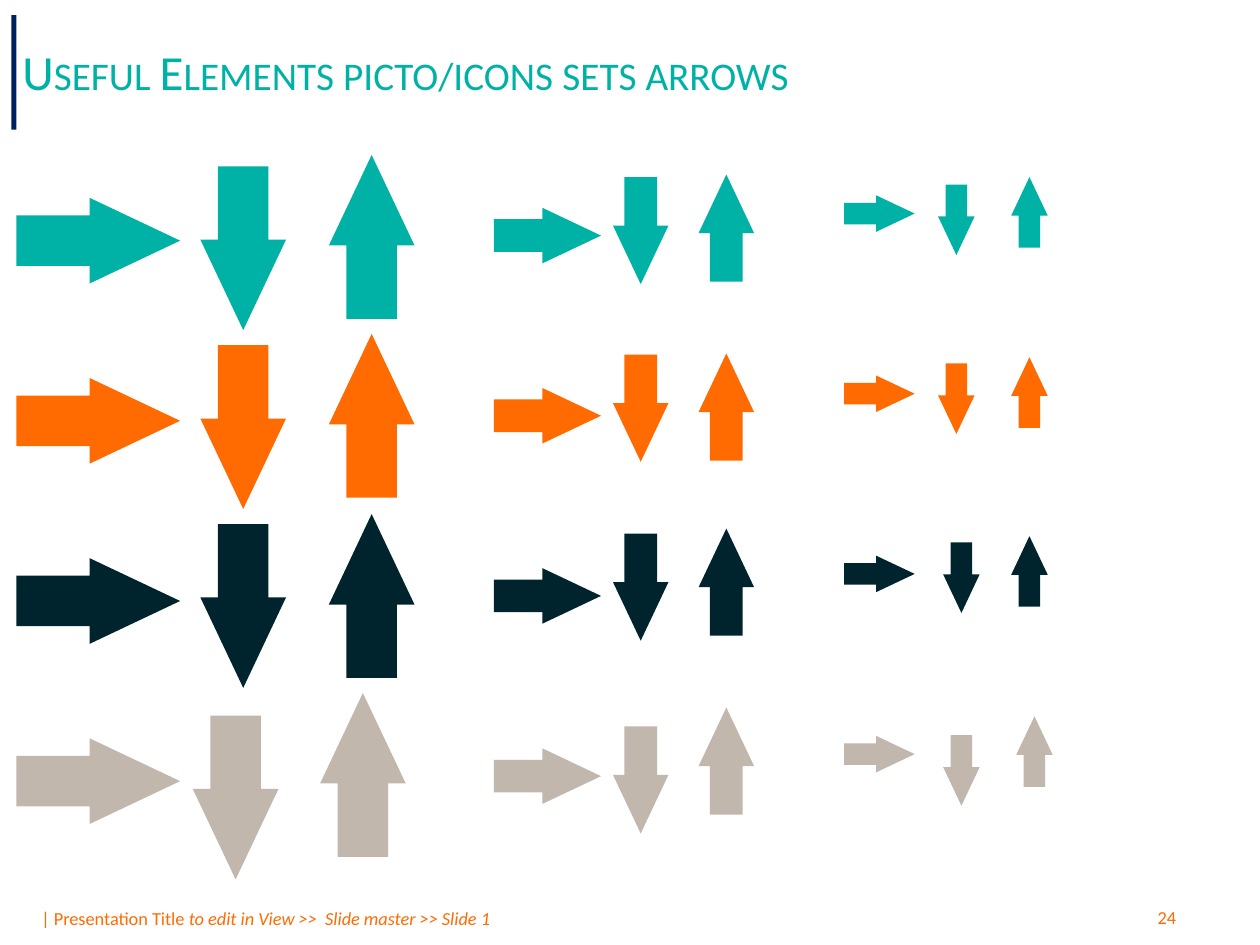
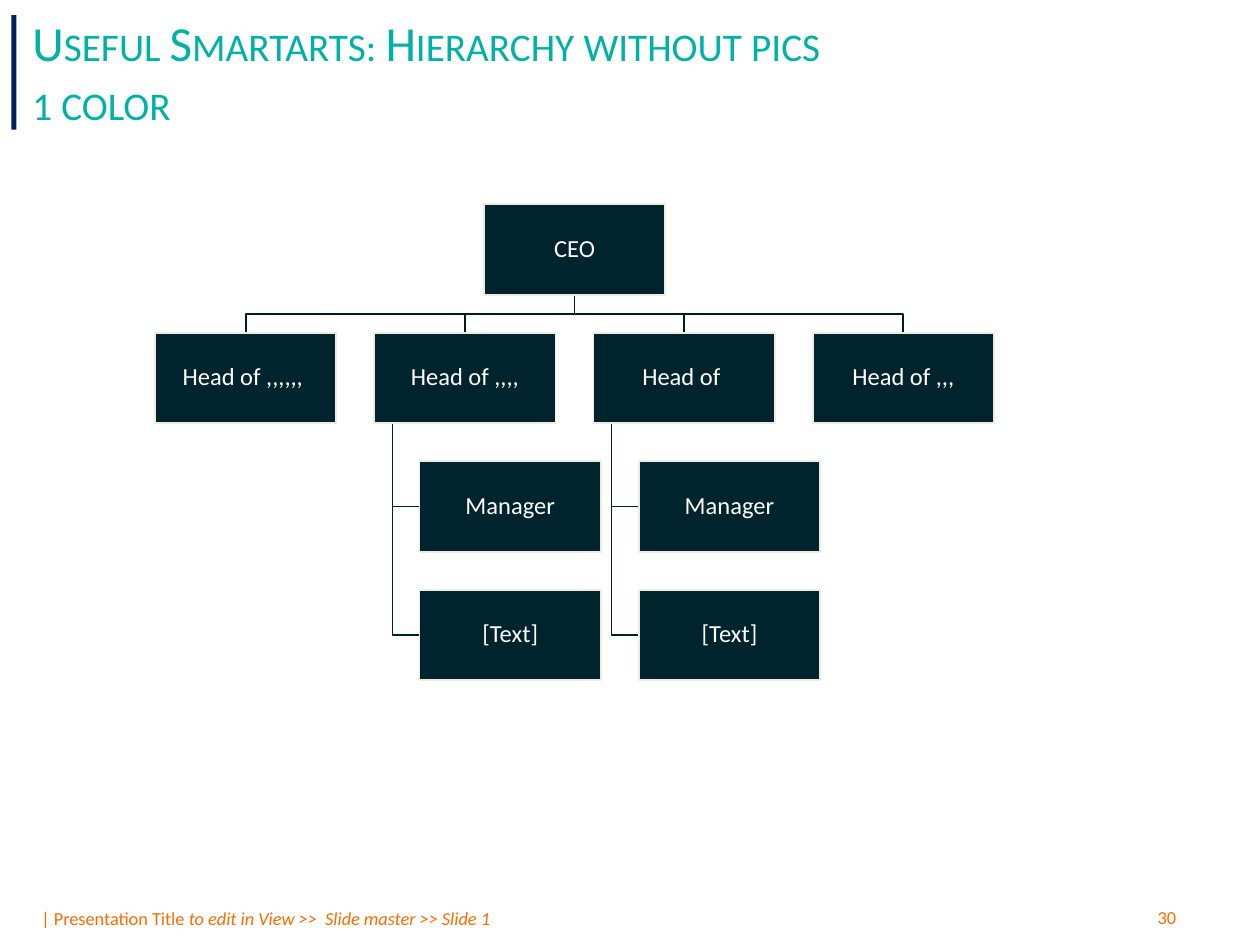
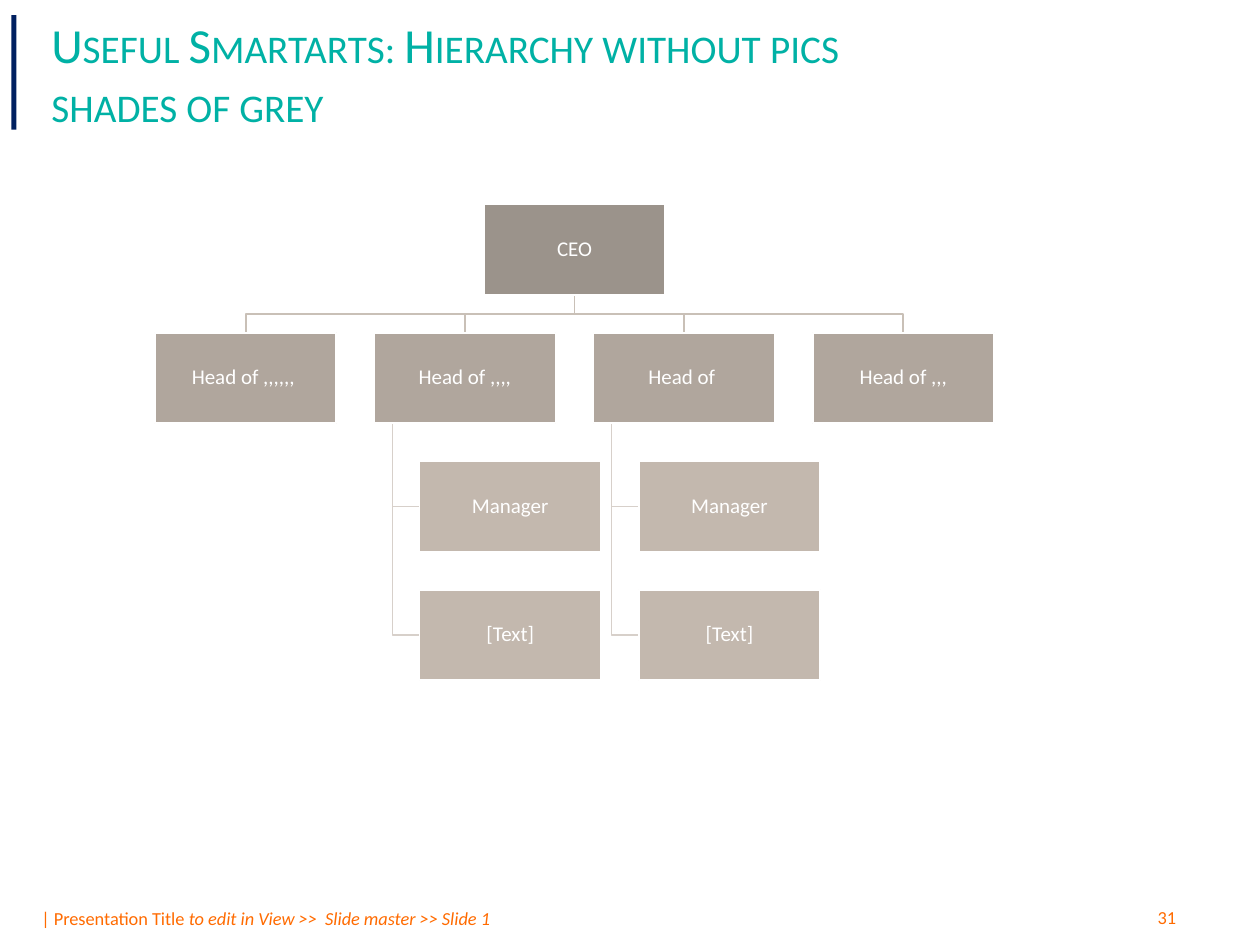
from dataclasses import dataclass

from pptx import Presentation
from pptx.dml.color import RGBColor
from pptx.enum.shapes import MSO_SHAPE
from pptx.enum.text import MSO_ANCHOR, PP_ALIGN
from pptx.util import Inches, Pt

RECTANGLE = MSO_SHAPE.RECTANGLE
RIGHT_ARROW = MSO_SHAPE.RIGHT_ARROW
MIDDLE = MSO_ANCHOR.MIDDLE
CENTER = PP_ALIGN.CENTER

COLORS = {
    "teal": "00B1A5",
    "orange": "FF6B00",
    "ink": "00242E",
    "sand": "C2B7AD",
    "navy": "002060",
    "white": "FFFFFF",
    "cream": "EEECE1",
    "ink_trunk": "001D25",
    "ink_branch": "00212A",
    "grey_ceo": "9B938B",
    "grey_head": "B0A69D",
    "grey_staff": "C3B8AE",
    "grey_trunk": "C9C0B7",
    "grey_branch": "D7D0CA",
}
TITLE_FONT = {"name": "Calibri", "size": Pt(28)}
FOOTER_FONT = {"name": "Calibri", "size": Pt(10.5)}
BOX_FRAME = {
    "word_wrap": True,
    "vertical_anchor": MIDDLE,
    "margin_left": Inches(0.01),
    "margin_right": Inches(0.01),
    "margin_top": Inches(0.01),
    "margin_bottom": Inches(0.01),
}
BOX_PARAGRAPH = {"alignment": CENTER, "line_spacing": 0.9}

ARROW_COLORS = ("teal", "orange", "ink", "sand")
ARROW_ADJUSTMENTS = (0.589, 1.056)
ARROW_PITCH = 1.43

BOX_WIDTH, BOX_HEIGHT = 1.44, 0.72
COLUMN_PITCH, ROW_PITCH = 1.74, 1.02
HEADS_LEFT, CHART_TOP = 1.23, 1.62
STAFF_INDENT = 0.36
HEADS = ("Head of ,,,,,, ", "Head of ,,,,", "Head of ", "Head of ,,,")
STAFF = ("Manager", "[Text]")
STAFFED_HEADS = (1, 2)


@dataclass(frozen=True)
class Page:
    title: str
    left: float
    top: float
    width: float
    number: int


@dataclass(frozen=True)
class ArrowColumn:
    width: float
    height: float
    rotation: int
    lefts: tuple
    tops: tuple


@dataclass(frozen=True)
class Palette:
    ceo: str
    head: str
    staff: str
    border: str
    trunk: str
    branch: str
    size: int


def evenly(first: float) -> tuple:
    return tuple(first + ARROW_PITCH * row for row in range(len(ARROW_COLORS)))


LARGE, MEDIUM, SMALL = (1.3, 0.68), (0.85, 0.44), (0.56, 0.29)
ARROW_COLUMNS = (
    ArrowColumn(*LARGE, 0, (0.13,) * 4, evenly(1.57)),
    ArrowColumn(*LARGE, 90, (1.28, 1.28, 1.28, 1.22), (1.63, 3.05, 4.47, 5.99)),
    ArrowColumn(*LARGE, 270, (2.3, 2.3, 2.3, 2.23), (1.54, 2.96, 4.39, 5.81)),
    ArrowColumn(*SMALL, 0, (6.7,) * 4, evenly(1.55)),
    ArrowColumn(*SMALL, 90, (7.31, 7.31, 7.35, 7.35), (1.6, 3.02, 4.44, 5.97)),
    ArrowColumn(*SMALL, 270, (7.89, 7.89, 7.89, 7.93), (1.54, 2.97, 4.39, 5.82)),
    ArrowColumn(*MEDIUM, 0, (3.92,) * 4, evenly(1.65)),
    ArrowColumn(*MEDIUM, 90, (4.66,) * 4, (1.61, 3.02, 4.44, 5.97)),
    ArrowColumn(*MEDIUM, 270, (5.34,) * 4, (1.59, 3.01, 4.4, 5.82)),
)

ARROWS_PAGE = Page("Useful Elements picto/icons sets arrows", 0.08, 0.23, 8.5, 24)
HIERARCHIES = (
    (
        Page("Useful Smartarts: Hierarchy without pics 1 color", 0.16, 0.24, 6.6, 30),
        Palette("ink", "ink", "ink", "cream", "ink_trunk", "ink_branch", 14),
    ),
    (
        Page("Useful Smartarts: Hierarchy without pics\nshades of grey", 0.31, 0.25, 7.67, 31),
        Palette("grey_ceo", "grey_head", "grey_staff", "white", "grey_trunk", "grey_branch", 12),
    ),
)


def rgb(color: str) -> RGBColor:
    return RGBColor.from_string(COLORS[color])


def apply(target, formats: dict) -> None:
    for attribute, value in formats.items():
        setattr(target, attribute, value)


def style_run(run, formats: dict, color: str) -> None:
    apply(run.font, formats)
    run.font.color.rgb = rgb(color)


def add_frame(slide, left: float, top: float, width: float, height: float):
    frame = slide.shapes.add_textbox(
        Inches(left), Inches(top), Inches(width), Inches(height)
    ).text_frame
    frame.word_wrap = True
    return frame


def add_filled(slide, preset, left: float, top: float, width: float, height: float, color: str):
    shape = slide.shapes.add_shape(
        preset, Inches(left), Inches(top), Inches(width), Inches(height)
    )
    shape.shadow.inherit = False
    shape.fill.solid()
    shape.fill.fore_color.rgb = rgb(color)
    shape.line.fill.background()
    return shape


def add_page(prs, page: Page):
    slide = prs.slides.add_slide(prs.slide_layouts[6])
    footer = add_frame(slide, 0.23, 7.15, 8.2, 0.28).paragraphs[0]
    for text, italic in (
        ("| Presentation Title ", False),
        ("to edit in View >>  Slide master >> Slide 1", True),
    ):
        run = footer.add_run()
        run.text = text
        style_run(run, {**FOOTER_FONT, "italic": italic}, "orange")

    number = add_frame(slide, 9.09, 7.14, 0.8, 0.28).paragraphs[0]
    number.text = str(page.number)
    style_run(number.runs[0], FOOTER_FONT, "orange")

    add_filled(slide, RECTANGLE, 0.09, 0.12, 0.04, 0.91, "navy")

    frame = add_frame(slide, page.left, page.top, page.width, 0.66)
    frame.vertical_anchor = MIDDLE
    title = frame.paragraphs[0]
    title.text = page.title
    for run in title.runs:
        style_run(run, TITLE_FONT, "teal")
        run.font._element.set("cap", "small")
    return slide


def add_arrows(slide) -> None:
    for column in ARROW_COLUMNS:
        for left, top, color in zip(column.lefts, column.tops, ARROW_COLORS):
            arrow = add_filled(
                slide, RIGHT_ARROW, left, top, column.width, column.height, color
            )
            arrow.rotation = column.rotation
            for index, value in enumerate(ARROW_ADJUSTMENTS):
                arrow.adjustments[index] = value


def add_link(slide, points: list, color: str) -> None:
    start, *rest = [(Inches(x), Inches(y)) for x, y in points]
    builder = slide.shapes.build_freeform(*start)
    builder.add_line_segments(rest, close=False)
    link = builder.convert_to_shape()
    link.shadow.inherit = False
    link.fill.background()
    link.line.color.rgb = rgb(color)
    link.line.width = Pt(1)


def add_box(slide, text: str, left: float, top: float, color: str, palette: Palette) -> None:
    box = add_filled(slide, RECTANGLE, left, top, BOX_WIDTH, BOX_HEIGHT, color)
    box.line.color.rgb = rgb(palette.border)
    box.line.width = Pt(1)
    apply(box.text_frame, BOX_FRAME)
    paragraph = box.text_frame.paragraphs[0]
    apply(paragraph, BOX_PARAGRAPH)
    paragraph.text = text
    style_run(paragraph.runs[0], {"name": "Calibri", "size": Pt(palette.size)}, "white")


def add_hierarchy(slide, palette: Palette) -> None:
    head_lefts = [HEADS_LEFT + COLUMN_PITCH * index for index in range(len(HEADS))]
    ceo_left = (head_lefts[0] + head_lefts[-1]) / 2
    ceo_middle = ceo_left + BOX_WIDTH / 2
    ceo_bottom = CHART_TOP + BOX_HEIGHT
    head_top = CHART_TOP + ROW_PITCH
    head_bottom = head_top + BOX_HEIGHT
    fork = (ceo_bottom + head_top) / 2
    staff_tops = [head_top + ROW_PITCH * row for row in range(1, len(STAFF) + 1)]

    for left in head_lefts:
        middle = left + BOX_WIDTH / 2
        points = [(ceo_middle, ceo_bottom), (ceo_middle, fork), (middle, fork), (middle, head_top)]
        add_link(slide, points, palette.trunk)
    for index in STAFFED_HEADS:
        left = head_lefts[index]
        stem = left + BOX_WIDTH / 10
        for top in staff_tops:
            middle = top + BOX_HEIGHT / 2
            points = [(stem, head_bottom), (stem, middle), (left + STAFF_INDENT, middle)]
            add_link(slide, points, palette.branch)

    add_box(slide, "CEO", ceo_left, CHART_TOP, palette.ceo, palette)
    for index, (head, left) in enumerate(zip(HEADS, head_lefts)):
        add_box(slide, head, left, head_top, palette.head, palette)
        if index in STAFFED_HEADS:
            for person, top in zip(STAFF, staff_tops):
                add_box(slide, person, left + STAFF_INDENT, top, palette.staff, palette)


def main() -> None:
    prs = Presentation()
    prs.slide_width, prs.slide_height = Inches(10), Inches(7.5)
    add_arrows(add_page(prs, ARROWS_PAGE))
    for page, palette in HIERARCHIES:
        add_hierarchy(add_page(prs, page), palette)
    prs.save("out.pptx")


if __name__ == "__main__":
    main()
